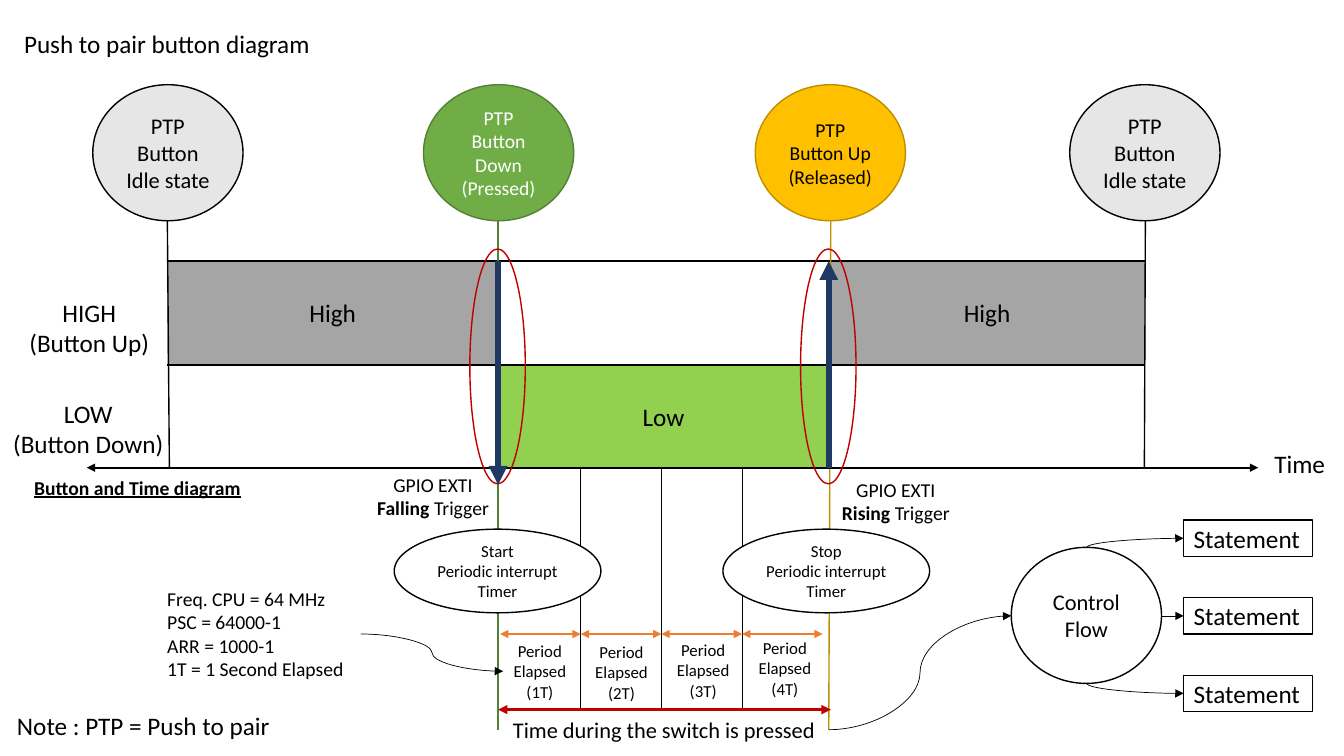
from dataclasses import dataclass
from typing import Optional

from lxml.etree import SubElement
from pptx import Presentation
from pptx.dml.color import RGBColor
from pptx.enum.shapes import MSO_CONNECTOR, MSO_SHAPE
from pptx.enum.text import MSO_ANCHOR, MSO_AUTO_SIZE, PP_ALIGN
from pptx.oxml.ns import qn
from pptx.shapes.autoshape import Shape
from pptx.shapes.connector import Connector
from pptx.text.text import TextFrame
from pptx.util import Inches, Pt

BLACK = RGBColor(0x00, 0x00, 0x00)
WHITE = RGBColor(0xFF, 0xFF, 0xFF)
GRAY = RGBColor(0xA5, 0xA5, 0xA5)
PALE_GRAY = RGBColor(0xE7, 0xE6, 0xE6)
LIME = RGBColor(0x92, 0xD0, 0x50)
GREEN = RGBColor(0x70, 0xAD, 0x47)
DARK_GREEN = RGBColor(0x53, 0x80, 0x35)
GOLD = RGBColor(0xFF, 0xC0, 0x00)
DARK_GOLD = RGBColor(0xBD, 0x8E, 0x00)
RED = RGBColor(0xC0, 0x00, 0x00)
NAVY = RGBColor(0x20, 0x38, 0x64)
ORANGE = RGBColor(0xED, 0x7D, 0x31)

FONT = "Calibri"
IDLE_TEXT = "PTP\nButton\nIdle state"
IDLE_START, PRESSED, RELEASED, IDLE_END = 1.66, 4.94, 8.22, 11.36
HIGH_TOP, LOW_TOP, AXIS = 2.59, 3.62, 4.64
CIRCLE_WIDTH, CIRCLE_HEIGHT, STATE_TOP = 1.49, 1.35, 0.84
STATE_BOTTOM = STATE_TOP + CIRCLE_HEIGHT
STATE_LINE_END, SPAN_Y, PERIOD_Y, CONTROL_Y = 7.24, 7.04, 6.29, 6.11
PERIOD = 0.8


@dataclass(frozen=True)
class Node:
    """A preset shape, its text and its colours."""
    left: float
    top: float
    width: float
    height: float
    text: str = ""
    size: float = 18
    fill: Optional[RGBColor] = None
    line: Optional[RGBColor] = BLACK
    kind: MSO_SHAPE = MSO_SHAPE.OVAL
    color: RGBColor = BLACK
    align: PP_ALIGN = PP_ALIGN.CENTER


@dataclass(frozen=True)
class Label:
    left: float
    top: float
    width: float
    height: float
    text: str
    size: float = 18
    align: PP_ALIGN = PP_ALIGN.LEFT
    wrap: bool = True


@dataclass(frozen=True)
class Line:
    x1: float
    y1: float
    x2: float
    y2: float
    color: RGBColor = BLACK
    width: float = 1
    head: bool = False
    tail: bool = False
    kind: MSO_CONNECTOR = MSO_CONNECTOR.STRAIGHT


def format_text(frame: TextFrame, size: float, color: RGBColor, align: PP_ALIGN) -> None:
    for paragraph in frame.paragraphs:
        paragraph.alignment = align
        for run in paragraph.runs:
            run.font.name = FONT
            run.font.size = Pt(size)
            run.font.color.rgb = color


def draw_node(slide, node: Node) -> Shape:
    shape = slide.shapes.add_shape(node.kind, Inches(node.left), Inches(node.top),
                                   Inches(node.width), Inches(node.height))
    shape.shadow.inherit = False
    if node.fill is None:
        shape.fill.background()
    else:
        shape.fill.solid()
        shape.fill.fore_color.rgb = node.fill
    if node.line is None:
        shape.line.fill.background()
    else:
        shape.line.color.rgb = node.line
        shape.line.width = Pt(1)
    if node.text:
        shape.text_frame.text = node.text
        shape.text_frame.vertical_anchor = MSO_ANCHOR.MIDDLE
        format_text(shape.text_frame, node.size, node.color, node.align)
    return shape


def draw_label(slide, label: Label) -> Shape:
    box = slide.shapes.add_textbox(Inches(label.left), Inches(label.top),
                                   Inches(label.width), Inches(label.height))
    box.text_frame.text = label.text
    box.text_frame.word_wrap = label.wrap
    box.text_frame.auto_size = MSO_AUTO_SIZE.SHAPE_TO_FIT_TEXT
    format_text(box.text_frame, label.size, BLACK, label.align)
    return box


def draw_line(slide, line: Line) -> Connector:
    connector = slide.shapes.add_connector(line.kind, Inches(line.x1), Inches(line.y1),
                                           Inches(line.x2), Inches(line.y2))
    connector.line.color.rgb = line.color
    connector.line.width = Pt(line.width)
    properties = connector._element.spPr
    outline = properties.find(qn("a:ln"))
    for tag, shown in (("a:headEnd", line.head), ("a:tailEnd", line.tail)):
        if shown:
            SubElement(outline, qn(tag), type="triangle")
    SubElement(properties, qn("a:effectLst"))
    return connector


def draw_trigger_label(slide, left: float, top: float, width: float, edge: str) -> None:
    """Name the interrupt edge in bold."""
    box = draw_label(slide, Label(left, top, width, 0.57, f"GPIO EXTI\n{edge}", 14))
    paragraph = box.text_frame.paragraphs[1]
    paragraph.runs[0].font.bold = True
    paragraph.add_run().text = " Trigger"
    format_text(box.text_frame, 14, BLACK, PP_ALIGN.CENTER)


def draw_levels(slide) -> None:
    for index in range(1, 4):
        x = PRESSED + 0.02 + index * PERIOD
        draw_line(slide, Line(x, SPAN_Y, x, AXIS, width=0.5))
    for left, right, top, text, fill in (
            (RELEASED, IDLE_END, HIGH_TOP, "High", GRAY),
            (PRESSED, RELEASED, LOW_TOP, "Low", LIME),
            (IDLE_START, PRESSED, HIGH_TOP, "High", GRAY)):
        draw_node(slide, Node(left, top, right - left, 1.02, text, fill=fill,
                              line=None, kind=MSO_SHAPE.RECTANGLE))
    for y in (HIGH_TOP, LOW_TOP):
        draw_line(slide, Line(IDLE_START, y, IDLE_END, y, width=1.5))


def draw_states(slide) -> None:
    for left, text, size, fill, line, color, x1, x2, end in (
            (0.92, IDLE_TEXT, 16, PALE_GRAY, BLACK, BLACK, IDLE_START, 1.68, AXIS),
            (7.49, "PTP\nButton Up (Released)", 14, GOLD, DARK_GOLD, BLACK,
             8.24, RELEASED, STATE_LINE_END),
            (10.61, IDLE_TEXT, 16, PALE_GRAY, BLACK, BLACK, IDLE_END, 11.35, AXIS),
            (4.2, "PTP\nButton Down\n(Pressed)", 14, GREEN, DARK_GREEN, WHITE,
             PRESSED, PRESSED, STATE_LINE_END)):
        draw_node(slide, Node(left, STATE_TOP, CIRCLE_WIDTH, CIRCLE_HEIGHT, text, size,
                              fill, line, color=color))
        draw_line(slide, Line(x1, STATE_BOTTOM, x2, end, line))
    draw_line(slide, Line(0.86, AXIS, 12.48, AXIS, width=1.5, head=True, tail=True))


def draw_triggers(slide) -> None:
    for left in (4.66, 7.94):
        draw_node(slide, Node(left, 2.47, 0.55, 2.33, line=RED))
    draw_line(slide, Line(PRESSED, HIGH_TOP, PRESSED, 4.81, NAVY, 4.5, tail=True))
    draw_line(slide, Line(RELEASED, AXIS, RELEASED, HIGH_TOP, NAVY, 4.5, tail=True))
    draw_trigger_label(slide, 3.63, 4.64, 1.33, "Falling")
    draw_trigger_label(slide, 8.21, 4.69, 1.35, "Rising")
    for left, text in ((3.91, "Start\vPeriodic interrupt\nTimer"),
                       (7.17, "Stop\nPeriodic interrupt\nTimer")):
        draw_node(slide, Node(left, 5.25, 2.05, 0.83, text, 12, WHITE))


def draw_periods(slide) -> None:
    draw_line(slide, Line(PRESSED, SPAN_Y, 8.24, SPAN_Y, RED, 2.25, True, True))
    for index, top in enumerate((6.31, 6.32, 6.3, 6.28)):
        x = PRESSED + 0.02 + index * PERIOD
        draw_line(slide, Line(x, PERIOD_Y, x + PERIOD, PERIOD_Y, ORANGE, 1.5, True, True))
        draw_label(slide, Label(4.99 + index * 0.81, top, 0.73, 0.71,
                                f" Period \nElapsed\n({index + 1}T)", 12,
                                PP_ALIGN.CENTER, False))
    draw_line(slide, Line(3.58, PERIOD_Y, 4.99, 6.66, width=0.5, tail=True,
                          kind=MSO_CONNECTOR.CURVE))


def draw_control_flow(slide) -> None:
    left, center, top = 10.03, 10.78, 5.43
    draw_node(slide, Node(left, top, CIRCLE_WIDTH, CIRCLE_HEIGHT, "Control Flow", 16, WHITE))
    draw_line(slide, Line(RELEASED, STATE_LINE_END, left, CONTROL_Y, width=0.5, tail=True,
                          kind=MSO_CONNECTOR.CURVE))
    upper, middle, lower = (
        draw_node(slide, Node(11.74, 5.16 + index * 0.77, 1.28, 0.36, "Statement", 18, WHITE,
                              kind=MSO_SHAPE.RECTANGLE, align=PP_ALIGN.LEFT))
        for index in range(3))
    straight = draw_line(slide, Line(left + CIRCLE_WIDTH, CONTROL_Y, 11.74, CONTROL_Y,
                                     width=0.5, tail=True))
    straight.end_connect(middle, 1)
    for statement, y in ((upper, top), (lower, top + CIRCLE_HEIGHT)):
        statement_y = (statement.top + statement.height / 2) / Inches(1)
        curve = draw_line(slide, Line(11.74, statement_y, center, y, width=0.5, head=True,
                                      kind=MSO_CONNECTOR.CURVE))
        curve._element.spPr.find(qn("a:prstGeom")).set("prst", "curvedConnector2")


def draw_labels(slide) -> None:
    center = PP_ALIGN.CENTER
    for label in (
            Label(0.14, 0.23, 3.4, 0.4, "Push to pair button diagram"),
            Label(0.07, 7, 3.11, 0.4, "Note : PTP = Push to pair"),
            Label(0.02, 3.9, 1.71, 0.71, "LOW\n(Button Down)", 18, center, False),
            Label(0.18, 2.9, 1.41, 0.71, "HIGH\n(Button Up)", 18, center, False),
            Label(4.94, 7.06, 3.29, 0.37, "Time during the switch is pressed", 16, center),
            Label(12.54, 4.4, 0.71, 0.4, "Time", wrap=False),
            Label(1.56, 5.77, 2.01, 1.04, "Freq. CPU = 64 MHz\nPSC = 64000-1\n"
                  "ARR = 1000-1\n1T = 1 Second Elapsed", 14)):
        draw_label(slide, label)
    caption = draw_label(slide, Label(0.24, 4.67, 2.41, 0.34, "Button and Time diagram", 14))
    font = caption.text_frame.paragraphs[0].runs[0].font
    font.bold = font.underline = True


def main() -> None:
    presentation = Presentation()
    presentation.slide_width, presentation.slide_height = Inches(13.33), Inches(7.5)
    slide = presentation.slides.add_slide(presentation.slide_layouts[6])
    for draw in (draw_levels, draw_states, draw_triggers, draw_periods,
                 draw_control_flow, draw_labels):
        draw(slide)
    presentation.save("out.pptx")


if __name__ == "__main__":
    main()
